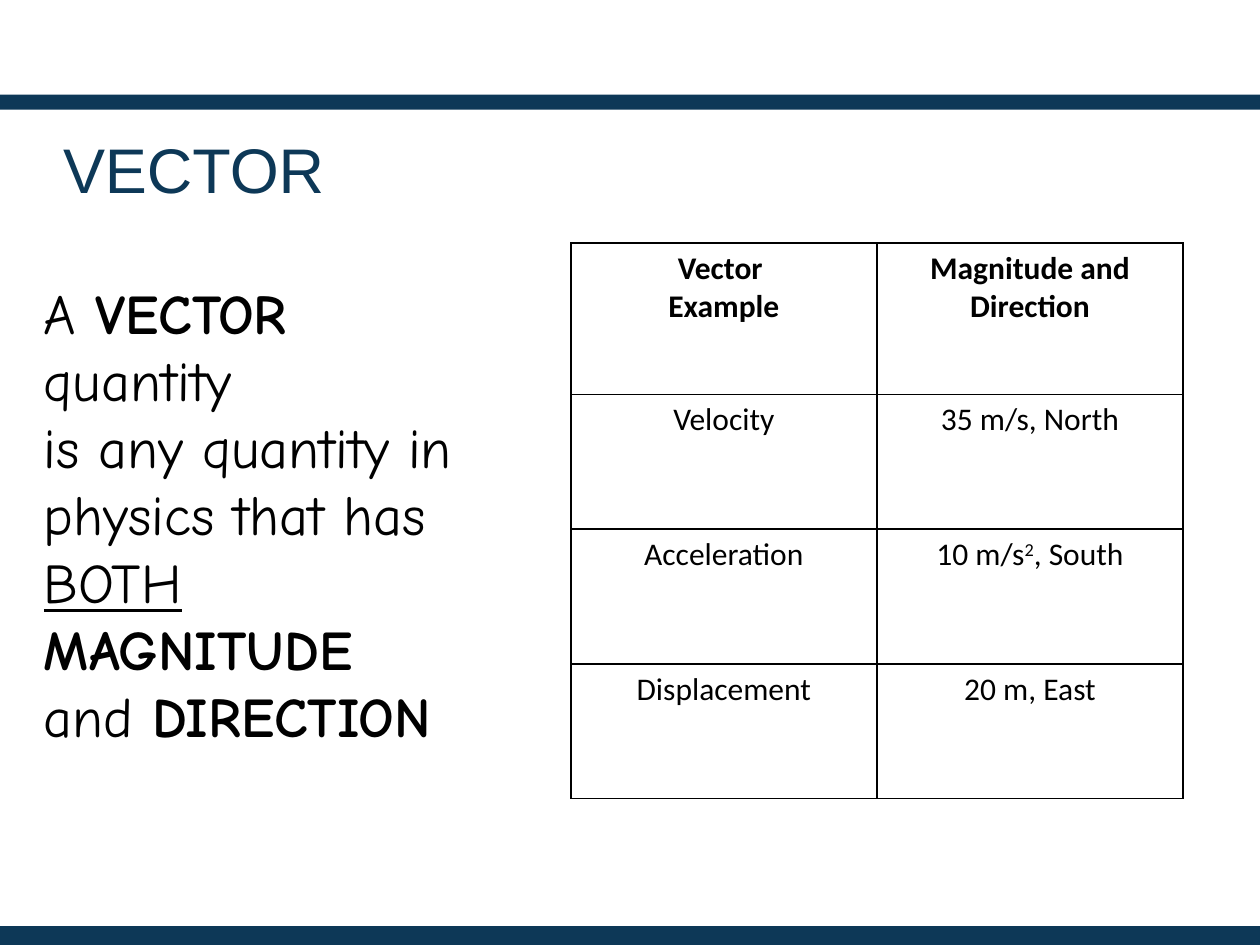
"""Build the slide that defines a vector quantity and lists examples."""
from dataclasses import dataclass

import pptx
import pptx.dml.color
import pptx.enum.shapes
import pptx.enum.text
import pptx.oxml
import pptx.oxml.ns
import pptx.util

Pt = pptx.util.Pt
NAVY = "0D3857"
BLACK = "000000"


@dataclass(frozen=True)
class Bit:
    """One run of text with its marks."""
    text: str
    bold: bool = False
    under: bool = False
    raised: bool = False


@dataclass(frozen=True)
class Face:
    """A font with its size and colour."""
    name: str
    size: float
    tint: str


@dataclass(frozen=True)
class Bar:
    """A band across the slide."""
    top: float
    height: float


Lines = list[list[Bit]]

HEAD = Face("Arial", 36, NAVY)
BODY = Face("Comic Neue", 32, BLACK)
GRID = Face("Calibri", 18, BLACK)

BARS = [Bar(54, 8.64), Bar(529.2, 10.8)]

CLAIM: Lines = [
    [Bit("A "), Bit("VECTOR ", bold=True), Bit("quantity")],
    [Bit("is any quantity in")],
    [Bit("physics that has")],
    [Bit("BOTH", under=True), Bit(" "), Bit("MAGNITUDE", bold=True)],
    [Bit("and "), Bit("DIRECTION", bold=True)],
]

ROWS: list[list[Lines]] = [
    [[[Bit("Vector ", bold=True)], [Bit("Example", bold=True)]],
     [[Bit("Magnitude and", bold=True)], [Bit("Direction", bold=True)]]],
    [[[Bit("Velocity")]], [[Bit("35 m/s, North")]]],
    [[[Bit("Acceleration")]],
     [[Bit("10 m/s"), Bit("2", raised=True), Bit(", South")]]],
    [[[Bit("Displacement")]], [[Bit("20 m, East")]]],
]


def tint(code: str) -> pptx.dml.color.RGBColor:
    """Turn a hex string into a colour."""
    return pptx.dml.color.RGBColor.from_string(code)


def write(frame, lines: Lines, face: Face, align) -> None:
    """Fill a text frame run by run."""
    for i, line in enumerate(lines):
        para = frame.add_paragraph() if i else frame.paragraphs[0]
        para.alignment = align
        for bit in line:
            run = para.add_run()
            run.text = bit.text
            font = run.font
            font.name, font.size = face.name, Pt(face.size)
            font.color.rgb = tint(face.tint)
            font.bold, font.underline = bit.bold, bit.under
            if bit.raised:
                run._r.get_or_add_rPr().set("baseline", "30000")


def draw_bar(slide, bar: Bar) -> None:
    """Draw a navy band over the full width."""
    shape = slide.shapes.add_shape(
        pptx.enum.shapes.MSO_SHAPE.RECTANGLE,
        Pt(0), Pt(bar.top), Pt(720), Pt(bar.height))
    shape.shadow.inherit = False
    shape.fill.solid()
    shape.fill.fore_color.rgb = tint(NAVY)
    shape.line.fill.background()


def draw_title(slide, align) -> None:
    """Move and fill the title."""
    title = slide.shapes.title
    title.left, title.top = Pt(36), Pt(72)
    title.width, title.height = Pt(648), Pt(48.24)
    frame = title.text_frame
    frame.margin_left = frame.margin_right = Pt(0)
    frame.margin_top = frame.margin_bottom = Pt(0)
    frame.vertical_anchor = pptx.enum.text.MSO_ANCHOR.MIDDLE
    frame.auto_size = pptx.enum.text.MSO_AUTO_SIZE.NONE
    write(frame, [[Bit("VECTOR")]], HEAD, align)


def draw_claim(slide, align) -> None:
    """Draw the text that defines a vector."""
    box = slide.shapes.add_textbox(Pt(18), Pt(155.52), Pt(270), Pt(300.24))
    frame = box.text_frame
    frame.word_wrap = True
    frame.auto_size = pptx.enum.text.MSO_AUTO_SIZE.SHAPE_TO_FIT_TEXT
    write(frame, CLAIM, BODY, align)


def edge(cell) -> None:
    """Give a cell black edges and no fill."""
    props = cell._tc.get_or_add_tcPr()
    space = pptx.oxml.ns.nsdecls("a")
    for side in "LRTB":
        props.append(pptx.oxml.parse_xml(
            f'<a:ln{side} {space} w="{Pt(1)}"><a:solidFill>'
            f'<a:srgbClr val="{BLACK}"/></a:solidFill></a:ln{side}>'))
    cell.fill.background()


def draw_table(slide, align) -> None:
    """Draw the table of vector examples."""
    high = [86.4] + [77.04] * (len(ROWS) - 1)
    table = slide.shapes.add_table(
        len(ROWS), 2, Pt(326.16), Pt(138.96), Pt(349.92), Pt(sum(high))).table
    table.first_row = table.horz_banding = False
    for i, row in enumerate(ROWS):
        table.rows[i].height = Pt(high[i])
        for j, lines in enumerate(row):
            cell = table.cell(i, j)
            edge(cell)
            write(cell.text_frame, lines, GRID, align)


def main() -> None:
    """Build and save the deck."""
    deck = pptx.Presentation()
    deck.slide_width, deck.slide_height = Pt(720), Pt(540)
    slide = deck.slides.add_slide(deck.slide_layouts[5])
    align = pptx.enum.text.PP_ALIGN
    for bar in BARS:
        draw_bar(slide, bar)
    draw_title(slide, align.LEFT)
    draw_claim(slide, align.LEFT)
    draw_table(slide, align.CENTER)
    deck.save("out.pptx")


if __name__ == "__main__":
    main()
